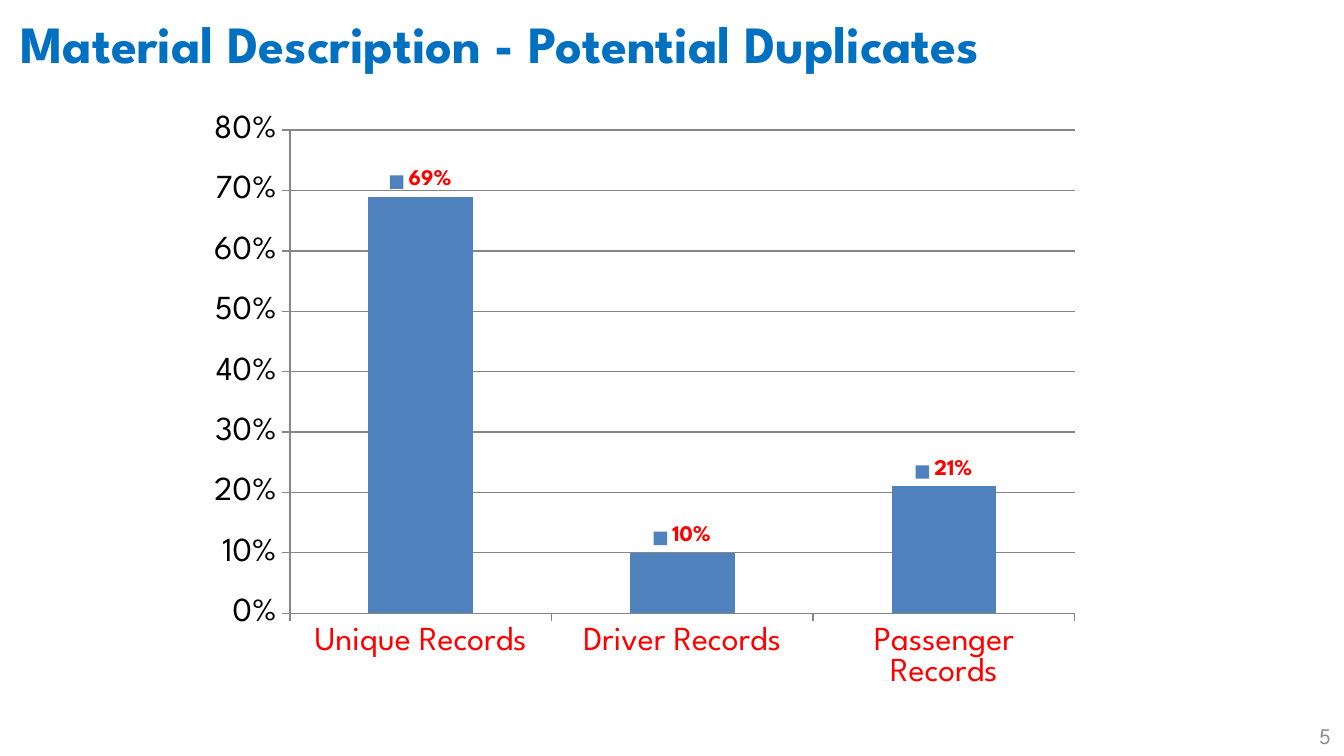
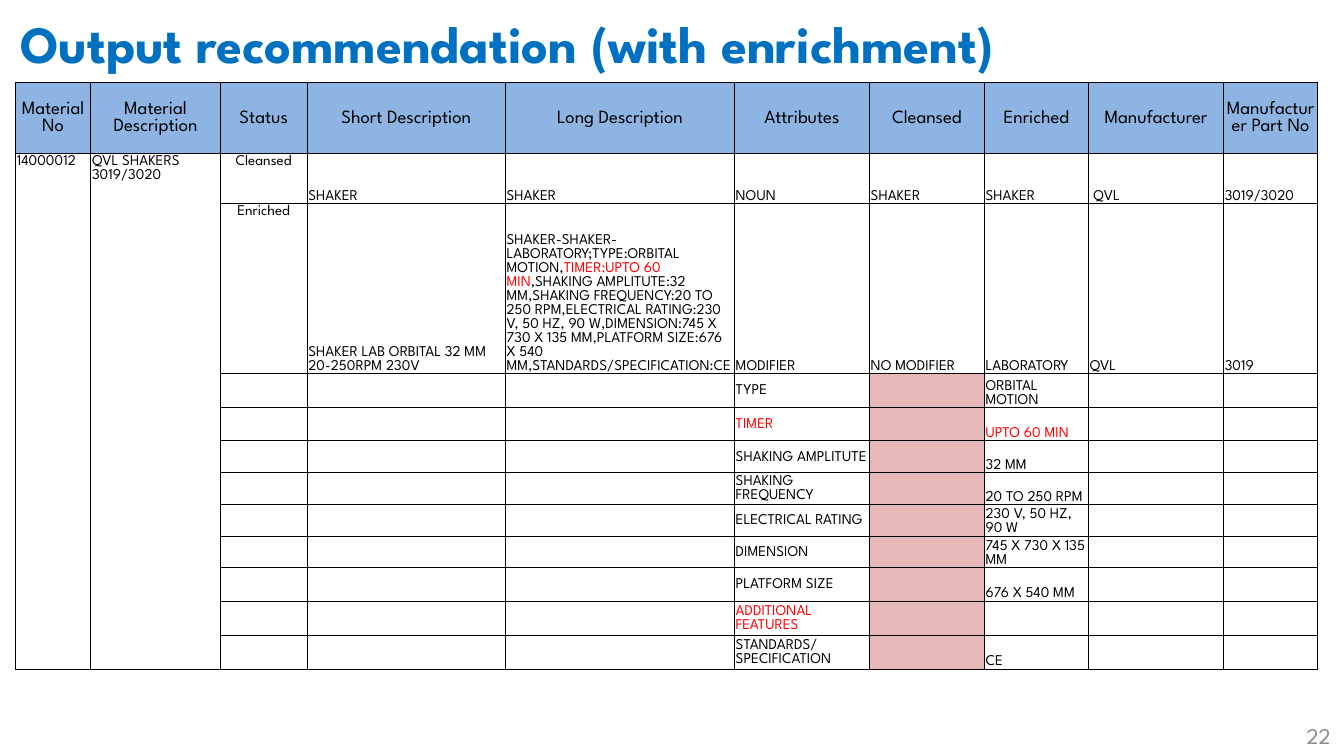
from dataclasses import dataclass

from lxml import etree
from pptx import Presentation
from pptx.chart.data import CategoryChartData
from pptx.dml.color import RGBColor
from pptx.enum.chart import XL_CHART_TYPE, XL_LABEL_POSITION, XL_TICK_MARK
from pptx.enum.text import MSO_ANCHOR, PP_ALIGN
from pptx.oxml.ns import qn
from pptx.util import Emu, Inches, Pt

COLUMN = XL_CHART_TYPE.COLUMN_CLUSTERED
ABOVE = XL_LABEL_POSITION.OUTSIDE_END
TICK_OUT, TICK_NONE = XL_TICK_MARK.OUTSIDE, XL_TICK_MARK.NONE
TOP, MIDDLE, BOTTOM = MSO_ANCHOR.TOP, MSO_ANCHOR.MIDDLE, MSO_ANCHOR.BOTTOM
LEFT, CENTER, RIGHT = PP_ALIGN.LEFT, PP_ALIGN.CENTER, PP_ALIGN.RIGHT

WIDE = Inches(10)
HIGH = Emu(WIDE * 9 // 16)
FACE = "League Spartan"
COLORS = {
    "title": "0070C0",
    "text": "000000",
    "alert": "FF0000",
    "page": "8C8C8C",
    "bar": "4F81BD",
    "grid": "868686",
    "head": "8EB4E3",
    "gap": "E6B9B8",
}


@dataclass(frozen=True)
class Box:
    """Place and size in percent of the slide."""

    left: float
    top: float
    width: float
    height: float

    def spots(self) -> tuple[Emu, Emu, Emu, Emu]:
        return (share(self.left, WIDE), share(self.top, HIGH),
                share(self.width, WIDE), share(self.height, HIGH))


@dataclass(frozen=True)
class Span:
    text: str
    color: str = "text"


@dataclass(frozen=True)
class Entry:
    spans: tuple[Span, ...] = ()
    anchor: MSO_ANCHOR = BOTTOM
    align: PP_ALIGN = LEFT
    size: float = 8
    fill: str = ""


@dataclass(frozen=True)
class Trait:
    name: str
    value: str
    color: str = "text"


TITLE_BOX = Box(0.5, 0.7, 98.8, 12.6)
PAGE_BOX = Box(90.2, 94.7, 9.8, 5.3)
CHART_BOX = Box(14.6, 13.6, 66.7, 79)
TABLE_BOX = Box(1.15, 10.85, 96.9, 77.7)
COLS = (5.6, 9.65, 6.45, 14.75, 17.05, 10.05, 8.55, 7.75, 10.05, 7)
ROWS = (9.5, 6.6, 22.5, 4.5, 4.4) + (4.2,) * 4 + (4.4, 4.5, 4.5)

SHARES = {"Unique Records": 0.69, "Driver Records": 0.1, "Passenger Records": 0.21}
HEADS = ("Material No", "Material Description", "Status", "Short Description",
         "Long Description", "Attributes", "Cleansed", "Enriched",
         "Manufacturer", "Manufacturer Part No")
LONG_TEXT = (
    Span("SHAKER-SHAKER-LABORATORY;TYPE:ORBITAL MOTION,"),
    Span("TIMER:UPTO 60 MIN", "alert"),
    Span(",SHAKING AMPLITUTE:32 MM,SHAKING FREQUENCY:20 TO 250 RPM,"
         "ELECTRICAL RATING:230 V, 50 HZ, 90 W,DIMENSION:745 X 730 X 135 MM,"
         "PLATFORM SIZE:676 X 540 MM,STANDARDS/SPECIFICATION:CE"),
)
CLEANSED = ("SHAKER", "SHAKER", "NOUN", "SHAKER", "SHAKER", " QVL", "3019/3020")
ENRICHED = ("SHAKER LAB ORBITAL 32 MM 20-250RPM 230V", LONG_TEXT, "MODIFIER",
            "NO MODIFIER", "LABORATORY", "QVL", "3019")
TRAITS = (
    Trait("TYPE", "ORBITAL MOTION"),
    Trait("TIMER", "UPTO 60 MIN", "alert"),
    Trait("SHAKING AMPLITUTE", "32 MM"),
    Trait("SHAKING FREQUENCY", "20 TO 250 RPM"),
    Trait("ELECTRICAL RATING", "230 V, 50 HZ, 90 W"),
    Trait("DIMENSION", "745 X 730 X 135 MM"),
    Trait("PLATFORM SIZE", "676 X 540 MM"),
    Trait("ADDITIONAL FEATURES", "", "alert"),
    Trait("STANDARDS/SPECIFICATION", "CE"),
)


def share(part: float, whole: int) -> Emu:
    return Emu(round(whole * part / 100))


def paint(name: str) -> RGBColor:
    return RGBColor.from_string(COLORS[name])


def style(font, size: float, color: str, bold: bool = False) -> None:
    font.name, font.size, font.bold = FACE, Pt(size), bold
    font.color.rgb = paint(color)


def add_run(line, span: Span, size: float, bold: bool = False) -> None:
    run = line.add_run()
    run.text = span.text
    style(run.font, size, span.color, bold)


def start_slide(deck, title: str, page: int):
    slide = deck.slides.add_slide(deck.slide_layouts[5])
    head = slide.shapes.title
    head.left, head.top, head.width, head.height = TITLE_BOX.spots()
    head.text_frame.vertical_anchor = MIDDLE
    head.text_frame.margin_bottom = Inches(0.2)
    line = head.text_frame.paragraphs[0]
    line.alignment = LEFT
    add_run(line, Span(title, "title"), 28, True)
    frame = slide.shapes.add_textbox(*PAGE_BOX.spots()).text_frame
    frame.word_wrap = True
    frame.vertical_anchor = MIDDLE
    frame.paragraphs[0].alignment = RIGHT
    add_run(frame.paragraphs[0], Span(str(page), "page"), 12)
    return slide


def add_bars(slide) -> None:
    data = CategoryChartData(number_format="0%")
    data.categories = list(SHARES)
    data.add_series("Series 1", list(SHARES.values()))
    chart = slide.shapes.add_chart(COLUMN, *CHART_BOX.spots(), data).chart
    chart.has_title = chart.has_legend = False
    style(chart.font, 18, "text")

    scale = chart.value_axis
    scale.minimum_scale, scale.maximum_scale, scale.major_unit = 0, 0.8, 0.1
    scale.tick_labels.number_format = "0%"
    scale.tick_labels.number_format_is_linked = False
    scale.has_major_gridlines = True
    for axis, color in ((scale, "text"), (chart.category_axis, "alert")):
        axis.major_tick_mark, axis.minor_tick_mark = TICK_OUT, TICK_NONE
        style(axis.tick_labels.font, 18, color)
    for item in (scale, chart.category_axis, scale.major_gridlines):
        item.format.line.color.rgb = paint("grid")
        item.format.line.width = Pt(0.75)

    plot = chart.plots[0]
    plot.gap_width, plot.vary_by_categories = 150, False
    bars = plot.series[0]
    bars.format.fill.solid()
    bars.format.fill.fore_color.rgb = paint("bar")
    labels = bars.data_labels
    labels.show_value = labels.show_legend_key = True
    labels.number_format, labels.number_format_is_linked = "0%", False
    labels.position = ABOVE
    style(labels.font, 12, "alert", True)


def add_edges(cell) -> None:
    props = cell._tc.get_or_add_tcPr()
    for side in ("lnL", "lnR", "lnT", "lnB"):
        edge = etree.SubElement(props, qn(f"a:{side}"), w=str(Pt(0.5)))
        solid = etree.SubElement(edge, qn("a:solidFill"))
        etree.SubElement(solid, qn("a:srgbClr"), val=COLORS["text"])


def fill_cell(cell, entry: Entry) -> None:
    add_edges(cell)
    cell.margin_left = cell.margin_right = cell.margin_top = Inches(0.01)
    cell.margin_bottom = 0
    cell.vertical_anchor = entry.anchor
    if entry.fill:
        cell.fill.solid()
        cell.fill.fore_color.rgb = paint(entry.fill)
    else:
        cell.fill.background()
    line = cell.text_frame.paragraphs[0]
    line.alignment = entry.align
    if entry.size == 8:
        line.line_spacing = Pt(7.5)
    for span in entry.spans:
        add_run(line, span, entry.size)
    if not entry.spans:
        etree.SubElement(line._p, qn("a:endParaRPr"), sz=str(round(entry.size * 100)))


def state_row(state: str, values: tuple, lead: tuple[Entry, Entry]) -> list[Entry]:
    spans = [(Span(item),) if isinstance(item, str) else item for item in values]
    return [*lead, Entry((Span(state),), TOP, CENTER), *map(Entry, spans)]


def trait_row(trait: Trait) -> list[Entry]:
    value = (Span(trait.value, trait.color),) if trait.value else ()
    return [Entry()] * 5 + [
        Entry((Span(trait.name, trait.color),), MIDDLE),
        Entry(fill="gap"), Entry(value), Entry(), Entry()]


def table_rows() -> list[list[Entry]]:
    heads = [Entry((Span(text),), MIDDLE, CENTER, 10, "head") for text in HEADS]
    lead = (Entry((Span("14000012"),), TOP),
            Entry((Span("QVL SHAKERS 3019/3020"),), TOP))
    return [heads, state_row("Cleansed", CLEANSED, lead),
            state_row("Enriched", ENRICHED, (Entry(), Entry())),
            *map(trait_row, TRAITS)]


def add_grid(slide) -> None:
    table = slide.shapes.add_table(len(ROWS), len(COLS), *TABLE_BOX.spots()).table
    table.first_row = table.horz_banding = False
    for col, part in zip(table.columns, COLS):
        col.width = share(part, WIDE)
    for row, part in zip(table.rows, ROWS):
        row.height = share(part, HIGH)
    for row, items in enumerate(table_rows()):
        for col, entry in enumerate(items):
            fill_cell(table.cell(row, col), entry)
    for col in range(2):
        table.cell(1, col).merge(table.cell(len(ROWS) - 1, col))


def main() -> None:
    deck = Presentation()
    deck.slide_width, deck.slide_height = WIDE, HIGH
    add_bars(start_slide(deck, "Material Description - Potential Duplicates", 5))
    add_grid(start_slide(deck, "Output recommendation (with enrichment)", 22))
    deck.save("out.pptx")


if __name__ == "__main__":
    main()
